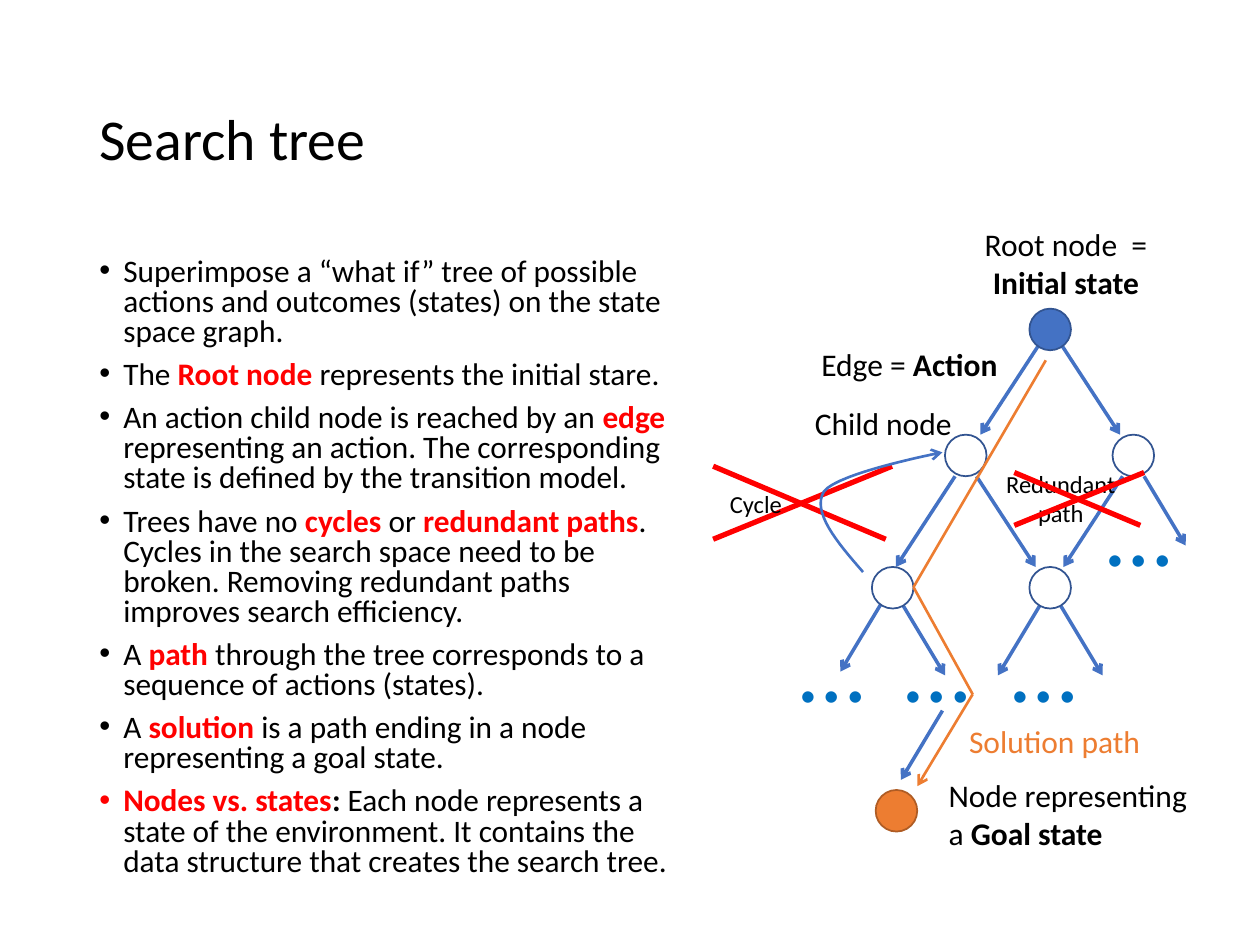
"""Build the "Search tree" slide on a grid of 100 columns by 75 rows."""
from lxml import etree
from pptx import Presentation
from pptx.dml.color import RGBColor
from pptx.enum.shapes import MSO_CONNECTOR, MSO_SHAPE
from pptx.enum.text import MSO_ANCHOR, PP_ALIGN
from pptx.oxml.ns import qn
from pptx.util import Inches, Pt

STRAIGHT = MSO_CONNECTOR.STRAIGHT
OVAL = MSO_SHAPE.OVAL
MIDDLE = MSO_ANCHOR.MIDDLE
LEFT, CENTER = PP_ALIGN.LEFT, PP_ALIGN.CENTER
BLACK = RGBColor(0x00, 0x00, 0x00)
WHITE = RGBColor(0xFF, 0xFF, 0xFF)
RED = RGBColor(0xFF, 0x00, 0x00)
BLUE = RGBColor(0x44, 0x72, 0xC4)
NAVY = RGBColor(0x32, 0x54, 0x91)
DOTS = RGBColor(0x00, 0x70, 0xC0)
ORANGE = RGBColor(0xED, 0x7D, 0x31)
BROWN = RGBColor(0xAF, 0x5C, 0x24)

prs = Presentation()
prs.slide_width, prs.slide_height = Inches(10), Inches(7.5)
CELL = prs.slide_width // 100
s = prs.slides.add_slide(prs.slide_layouts[6])


def add_text(box, lines, size, color=BLACK, accent=BLACK, align=LEFT, wrap=True, bullet=False):
    """Add a text box; words between asterisks are bold in the accent colour."""
    tf = s.shapes.add_textbox(*(round(v * CELL) for v in box)).text_frame
    tf.word_wrap = wrap
    for i, line in enumerate(lines):
        p = tf.add_paragraph() if i else tf.paragraphs[0]
        p.alignment = align
        if bullet:
            pPr = p._p.get_or_add_pPr()
            pPr.set("marL", str(Inches(0.19)))
            pPr.set("indent", str(-Inches(0.19)))
            etree.SubElement(pPr, qn("a:buFont")).set("typeface", "Arial")
            etree.SubElement(pPr, qn("a:buChar")).set("char", "•")
            p.line_spacing = 0.8
            p.space_before = Pt(7.5 if i else 0)
        for j, part in enumerate(line.split("*")):
            if part:
                r = p.add_run()
                r.text = part
                r.font.name, r.font.size = "Calibri", Pt(size)
                r.font.bold = j % 2 == 1
                r.font.color.rgb = accent if j % 2 else color
    return tf


def add_line(points, color, width, arrow=False):
    """Join two points with a connector, or more with a freeform."""
    pts = [(round(x * CELL), round(y * CELL)) for x, y in points]
    if len(pts) == 2:
        sp = s.shapes.add_connector(STRAIGHT, *pts[0], *pts[1])
    else:
        fb = s.shapes.build_freeform(*pts[0])
        fb.add_line_segments(pts[1:], close=False)
        sp = fb.convert_to_shape()
        sp.fill.background()
    sp.line.color.rgb = color
    sp.line.width = Pt(width)
    spPr = sp._element.spPr
    if arrow:
        etree.SubElement(spPr.find(qn("a:ln")), qn("a:tailEnd")).set("type", "arrow")
    etree.SubElement(spPr, qn("a:effectLst"))


tf = add_text((6.9, 4, 86.2, 14.5), ["Search tree"], 33)
tf.vertical_anchor = MIDDLE
tf.paragraphs[0].line_spacing = 0.9

tf = add_text((6.9, 20, 48.1, 51), [
    "Superimpose a “what if” tree of possible actions and outcomes (states) on the state space graph.",
    "The* Root node* represents the initial stare.",
    "An action child node is reached by an *edge* representing an action. "
    "The corresponding state is defined by the transition model.",
    "Trees have no *cycles *or* redundant paths*. Cycles in the search space need to be broken. "
    "Removing redundant paths improves search efficiency.",
    "A *path* through the tree corresponds to a sequence of actions (states).",
    "A *solution* is a path ending in a node representing a goal state.",
    "*Nodes vs. states**: *Each node represents a state of the environment. "
    "It contains the data structure that creates the search tree.",
], 17.9, accent=RED, bullet=True)
tf.paragraphs[-1].runs[1].font.color.rgb = BLACK

add_line([(56.6, 37), (70.3, 42.8)], RED, 3)
add_line([(70.8, 37), (56.6, 42.8)], RED, 3)
add_text((53.3, 38.3, 13.4, 3.4), ["Cycle"], 14, align=CENTER)

for x, y in [(62.5, 47.8), (70.8, 47.8), (79.3, 47.8), (86.8, 37)]:
    add_text((x, y, 7.4, 10.1), ["…"], 54, DOTS, wrap=False)

LONG, SHORT = (4.7, 7.2), (3.3, 5.5)
for x, y, side, (dx, dy) in [
    (82.5, 27.3, -1, LONG), (84.2, 27.3, 1, LONG),
    (75.8, 37.8, -1, LONG), (77.5, 37.8, 1, LONG),
    (89.1, 37.8, -1, LONG), (90.8, 37.8, 1, SHORT),
    (70, 47.8, -1, SHORT), (71.7, 48.1, 1, SHORT),
    (82.5, 48.1, -1, SHORT), (84.2, 48.1, 1, SHORT),
    (74.8, 56.4, -1, SHORT),
]:
    add_line([(x, y), (x + side * dx, y + dy)], BLUE, 2, arrow=True)

NODE = 3.3
for x, y, fill, line in [
    (81.7, 24.5, BLUE, NAVY), (75, 34.5, WHITE, NAVY), (88.3, 34.5, WHITE, NAVY),
    (69.2, 45, WHITE, NAVY), (81.7, 45, WHITE, NAVY), (69.5, 62.7, ORANGE, BROWN),
]:
    sp = s.shapes.add_shape(OVAL, *(round(v * CELL) for v in (x, y, NODE, NODE)))
    sp.shadow.inherit = False
    sp.fill.solid()
    sp.fill.fore_color.rgb = fill
    sp.line.color.rgb = line
    sp.line.width = Pt(1)

add_text((76.7, 17.4, 15.8, 7.1), ["Root node  = *Initial state*"], 18, align=CENTER)
add_text((63.4, 31.6, 13.4, 4), ["Child node"], 18, align=CENTER)
add_text((64.2, 26.9, 16.2, 4), ["Edge = *Action*"], 18, wrap=False)
add_text((74.3, 61.1, 21.8, 7.1), ["Node representing", "a *Goal state*"], 18, wrap=False)
add_text((75.3, 56.8, 16.8, 4), ["Solution path"], 18, ORANGE, align=CENTER)

STEPS = 16
cycle = [(68.5, 45.4)]
for curve in [
    [(68.5, 45.4), (66.4, 43), (64.4, 40.6), (65.4, 39)],
    [(65.4, 39), (66.5, 37.5), (74.8, 35.9), (74.8, 35.9)],
]:
    for t in (n / STEPS for n in range(1, STEPS + 1)):
        weights = ((1 - t) ** 3, 3 * t * (1 - t) ** 2, 3 * t ** 2 * (1 - t), t ** 3)
        cycle.append(tuple(sum(w * v for w, v in zip(weights, axis)) for axis in zip(*curve)))
add_line(cycle, BLUE, 1.5, arrow=True)

add_text((77.5, 36.7, 13.4, 5.7), ["Redundant", "path"], 14, align=CENTER)
add_line([(80.5, 37.5), (90.5, 41.7)], RED, 3)
add_line([(90.8, 37.5), (80.5, 41.7)], RED, 3)

solution = [(83, 28.6), (72.5, 46.6), (77.2, 55.1), (72.8, 62.4)]
for i in range(3):
    add_line(solution[i:i + 2], ORANGE, 1.5, arrow=i == 2)

prs.save("out.pptx")
